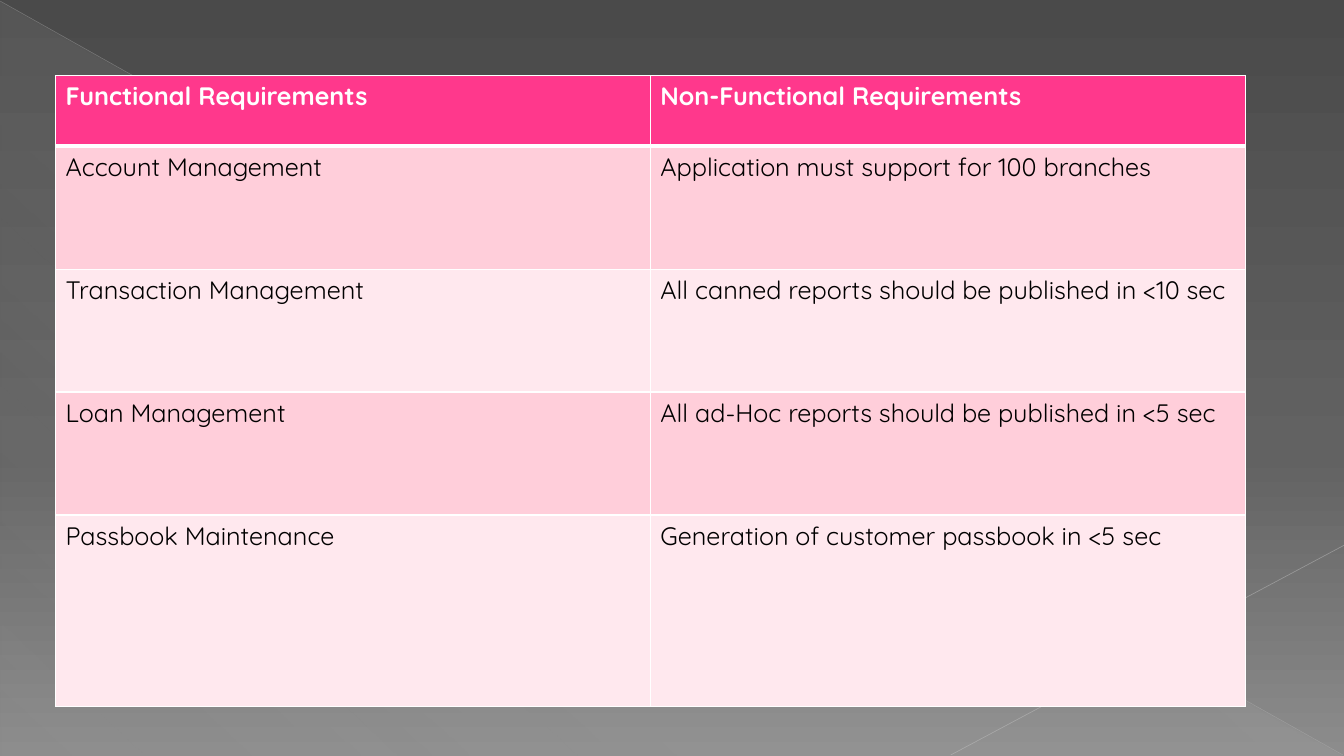
"""Build a slide with a table of functional and non-functional requirements."""
from lxml import etree
from pptx import Presentation
from pptx.dml.color import RGBColor
from pptx.enum.shapes import MSO_CONNECTOR, MSO_SHAPE
from pptx.oxml import parse_xml
from pptx.oxml.ns import nsdecls, qn
from pptx.util import Inches, Pt

STRAIGHT = MSO_CONNECTOR.STRAIGHT
RIGHT_TRIANGLE = MSO_SHAPE.RIGHT_TRIANGLE
FONT = "Quicksand"


def rgb(color):
    """Turn a hex string into a colour."""
    return RGBColor.from_string(color)


def apply_gradient(properties, stops, angle):
    """Replace a solid fill with gradient stops of position, colour and opacity."""
    stop_xml = "".join(
        f'<a:gs pos="{position * 1000}"><a:srgbClr val="{color}">'
        f'<a:alpha val="{opacity * 1000}"/></a:srgbClr></a:gs>'
        for position, color, opacity in stops)
    gradient = parse_xml(
        f'<a:gradFill {nsdecls("a")} rotWithShape="1"><a:gsLst>{stop_xml}</a:gsLst>'
        f'<a:lin ang="{angle * 60000}" scaled="0"/></a:gradFill>')
    properties.replace(properties.find(qn("a:solidFill")), gradient)


prs = Presentation()
prs.slide_width, prs.slide_height = Inches(13.33), Inches(7.5)
slide = prs.slides.add_slide(prs.slide_layouts[6])

slide.background.fill.solid()
apply_gradient(slide.element.find(".//" + qn("p:bgPr")),
               [(0, "4A4A4A", 100), (60, "626262", 100), (100, "8C8C8C", 100)], 90)

sheen = slide.shapes.add_shape(
    RIGHT_TRIANGLE, Inches(0.01), Inches(0.02), Inches(13.31), Inches(7.48))
sheen.shadow.inherit = False
sheen.line.fill.background()
sheen.fill.solid()
apply_gradient(sheen.element.spPr,
               [(0, "D2D2D2", 10), (70, "D2D2D2", 8), (100, "D2D2D2", 1)], 133)

background_lines = [
    (0, 0.01, 13.32, 7.49, "BFBFBF", 0.39, 35),
    (13.33, 5.41, 9.43, 7.49, "C6C6C6", 0.47, 45),
]
for x1, y1, x2, y2, color, width, opacity in background_lines:
    diagonal = slide.shapes.add_connector(
        STRAIGHT, Inches(x1), Inches(y1), Inches(x2), Inches(y2))
    diagonal.line.color.rgb = rgb(color)
    diagonal.line.width = Pt(width)
    line_properties = diagonal.element.spPr
    line_color = line_properties.find(".//" + qn("a:srgbClr"))
    etree.SubElement(line_color, qn("a:alpha"), val=str(opacity * 1000))
    etree.SubElement(line_properties, qn("a:effectLst"))

requirements = [
    ("Functional Requirements", "Non-Functional Requirements"),
    ("Account Management", "Application must support for 100 branches"),
    ("Transaction Management", "All canned reports should be published in <10 sec"),
    ("Loan Management", "All ad-Hoc reports should be published in <5 sec"),
    ("Passbook Maintenance", "Generation of customer passbook in <5 sec"),
]
row_heights = [0.7, 1.22, 1.22, 1.22, 1.9]
row_fills = ["FF388C", "FFCEDA", "FFE8EE", "FFCEDA", "FFE8EE"]

table = slide.shapes.add_table(
    len(requirements), 2, Inches(0.55), Inches(0.75), Inches(11.8), Inches(6.26)).table
for column in table.columns:
    column.width = Inches(5.9)

for row_index, texts in enumerate(requirements):
    is_header = row_index == 0
    table.rows[row_index].height = Inches(row_heights[row_index])
    border_widths = {
        "lnL": 1,
        "lnR": 1,
        "lnT": 3 if row_index == 1 else 1,
        "lnB": 3 if is_header else 1,
    }
    for column_index, text in enumerate(texts):
        cell = table.cell(row_index, column_index)
        cell.text_frame.text = text
        font = cell.text_frame.paragraphs[0].runs[0].font
        font.name = FONT
        font.size = Pt(18)
        font.bold = is_header
        font.color.rgb = rgb("FFFFFF" if is_header else "000000")
        cell_properties = cell._tc.get_or_add_tcPr()
        for side, width in border_widths.items():
            cell_properties.append(parse_xml(
                f'<a:{side} {nsdecls("a")} w="{Pt(width)}"><a:solidFill>'
                f'<a:srgbClr val="FFFFFF"/></a:solidFill></a:{side}>'))
        cell.fill.solid()
        cell.fill.fore_color.rgb = rgb(row_fills[row_index])

prs.save("out.pptx")
